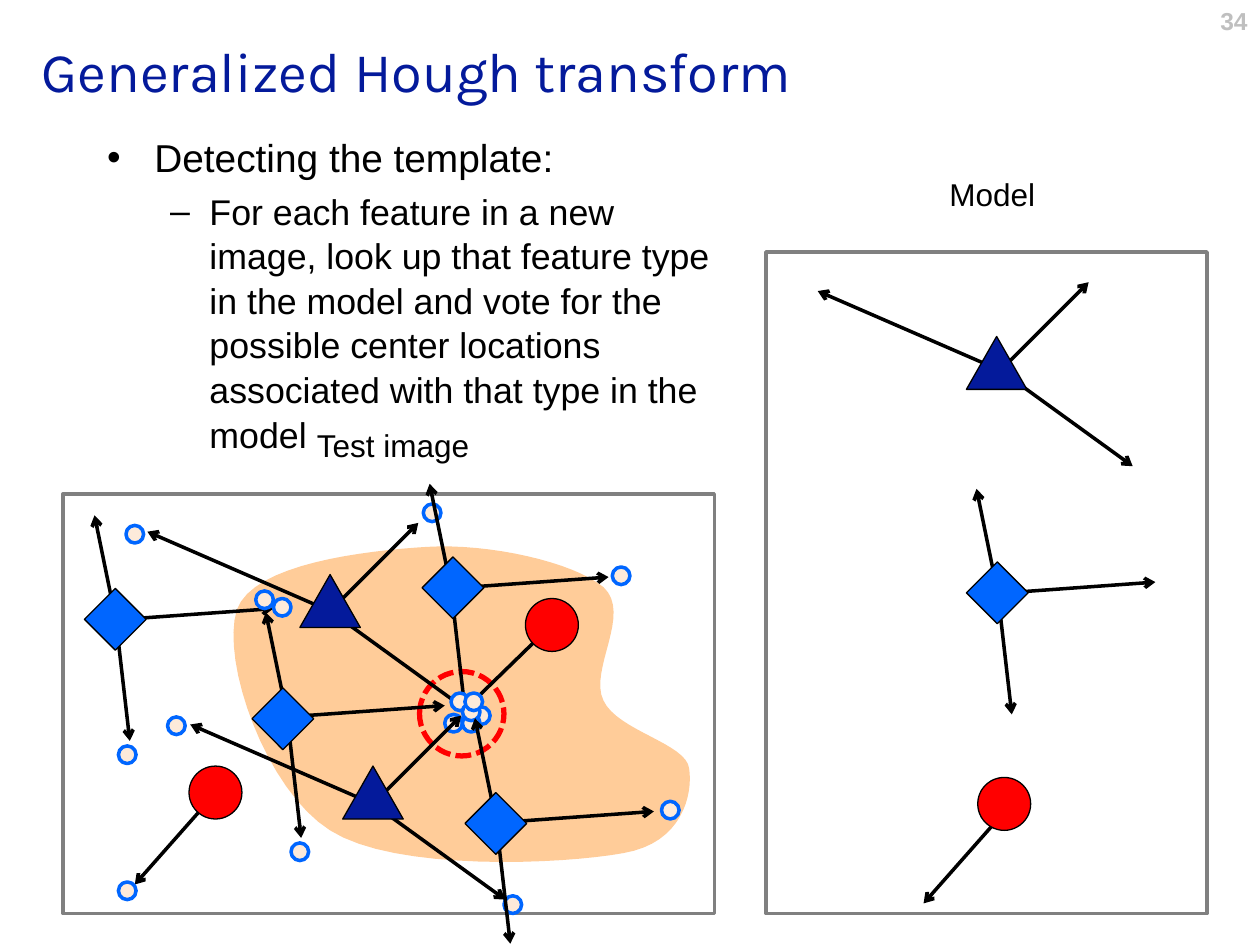
"""Build the Generalized Hough transform slide."""
import pptx
import pptx.util
import pptx.dml.color
import pptx.enum.dml
import pptx.enum.shapes
import pptx.enum.text
import lxml.etree

PX = 9144
Pt = pptx.util.Pt
RGBColor = pptx.dml.color.RGBColor
MSO = pptx.enum.shapes.MSO_SHAPE
ALIGN = pptx.enum.text.PP_ALIGN
ANCHOR = pptx.enum.text.MSO_ANCHOR
NAVY = RGBColor(0x04, 0x1A, 0x9B)
BLUE = RGBColor(0x00, 0x66, 0xFF)
RED = RGBColor(0xFF, 0x00, 0x00)
BLACK = RGBColor(0x00, 0x00, 0x00)
GRAY = RGBColor(0x80, 0x80, 0x80)
SILVER = RGBColor(0xBF, 0xBF, 0xBF)
PEACH = RGBColor(0xFF, 0xCC, 0x99)
CREAM = RGBColor(0xFD, 0xEA, 0xDA)


def add_figure(kind, x, y, w, h, fill, line, width):
    sp = s.shapes.add_shape(kind, x * PX, y * PX, w * PX, h * PX)
    sp.shadow.inherit = False
    if fill is None:
        sp.fill.background()
    else:
        sp.fill.solid()
        sp.fill.fore_color.rgb = fill
    sp.line.color.rgb = line
    sp.line.width = Pt(width)
    return sp


def add_arrows(x, y, arms):
    for dx, dy in arms:
        cx = s.shapes.add_connector(pptx.enum.shapes.MSO_CONNECTOR.STRAIGHT,
                                    x * PX, y * PX, (x + dx) * PX, (y + dy) * PX)
        cx.line.color.rgb = BLACK
        cx.line.width = Pt(2)
        ns = pptx.oxml.ns.qn
        lxml.etree.SubElement(cx.line._get_or_add_ln(), ns("a:tailEnd"), type="arrow")
        lxml.etree.SubElement(cx._element.spPr, ns("a:effectLst"))


prs = pptx.Presentation()
prs.slide_width = 1000 * PX
prs.slide_height = 750 * PX
s = prs.slides.add_slide(prs.slide_layouts[1])

title = s.shapes.title
title.left, title.top, title.width, title.height = 23 * PX, 18 * PX, 954 * PX, 76 * PX
tf = title.text_frame
tf.auto_size = pptx.enum.text.MSO_AUTO_SIZE.NONE
tf.vertical_anchor = ANCHOR.MIDDLE
p = tf.paragraphs[0]
p.alignment = ALIGN.LEFT
r = p.add_run()
r.text = "Generalized Hough transform"
r.font.name = "Karla"
r.font.size = Pt(32)
r.font.color.rgb = NAVY

body = s.placeholders[1]
body.left, body.top, body.width, body.height = 75 * PX, 100 * PX, 508 * PX, 246 * PX
tf = body.text_frame
tf.auto_size = pptx.enum.text.MSO_AUTO_SIZE.NONE
points = [
    ("Detecting the template:", 22.2),
    ("For each feature in a new image, look up that feature type in the model "
     "and vote for the possible center locations associated with that type in the model", 20.4),
]
for level, (text, size) in enumerate(points):
    p = tf.add_paragraph() if level else tf.paragraphs[0]
    p.level = level
    p.line_spacing = 1.04
    r = p.add_run()
    r.text = text
    r.font.name = "Arial"
    r.font.size = Pt(size)
    r.font.color.rgb = BLACK

labels = [
    ("34", 767, 0, 233, 40, 14, SILVER, True, ALIGN.RIGHT),
    ("Model", 700, 134, 175, 57, 18, BLACK, False, ALIGN.CENTER),
    ("Test image", 183, 333, 258, 57, 18, BLACK, False, ALIGN.CENTER),
]
for text, x, y, w, h, size, color, bold, align in labels:
    tf = s.shapes.add_textbox(x * PX, y * PX, w * PX, h * PX).text_frame
    tf.word_wrap = True
    p = tf.paragraphs[0]
    p.alignment = align
    r = p.add_run()
    r.text = text
    r.font.name = "Arial"
    r.font.size = Pt(size)
    r.font.bold = bold
    r.font.color.rgb = color

add_figure(MSO.RECTANGLE, 608, 200, 350, 525, None, GRAY, 2)
add_figure(MSO.RECTANGLE, 50, 392, 517, 333, None, GRAY, 2)

start = (188, 484)
curves = [
    ((201, 447), (291, 437), (339, 434)),
    ((388, 431), (455, 446), (479, 466)),
    ((502, 487), (467, 532), (479, 556)),
    ((490, 580), (545, 590), (547, 610)),
    ((550, 630), (542, 669), (495, 677)),
    ((447, 686), (313, 692), (262, 659)),
    ((211, 627), (175, 525), (188, 484)),
]
STEPS = 16
outline = []
a = start
for b, c, d in curves:
    for i in range(1, STEPS + 1):
        t = i / STEPS
        u = 1 - t
        outline.append([(u**3 * a[k] + 3 * u * u * t * b[k] + 3 * u * t * t * c[k] + t**3 * d[k]) * PX
                        for k in (0, 1)])
    a = d
fb = s.shapes.build_freeform(start[0] * PX, start[1] * PX)
fb.add_line_segments(outline, close=True)
blob = fb.convert_to_shape()
blob.shadow.inherit = False
blob.fill.solid()
blob.fill.fore_color.rgb = PEACH
blob.line.fill.background()

TRIANGLE_ARMS = [(105, 76), (70, -70), (-145, -63)]
DIAMOND_ARMS = [(-17, -83), (125, -9), (11, 96)]
CIRCLE_ARMS = [(-68, 77)]
ring = add_figure(MSO.OVAL, 333, 533, 67, 67, None, RED, 3)
ring.line.dash_style = pptx.enum.dml.MSO_LINE.SQUARE_DOT

casts = [
    (794, 294, TRIANGLE_ARMS, []),
    (792, 471, DIAMOND_ARMS, []),
    (801, 640, CIRCLE_ARMS, [(353, 567)]),
    (175, 625, CIRCLE_ARMS, [(94, 700)]),
    (92, 492, DIAMOND_ARMS, [(94, 592), (217, 475)]),
    (262, 485, TRIANGLE_ARMS, [(375, 561), (336, 400), (100, 417)]),
    (358, 467, DIAMOND_ARMS, [(486, 450), (367, 567)]),
    (442, 492, [(-75, 73)], []),
    (228, 569, DIAMOND_ARMS, [(231, 669), (203, 469), (358, 550)]),
    (296, 638, TRIANGLE_ARMS, [(133, 569), (400, 711), (367, 558)]),
    (394, 653, DIAMOND_ARMS, [(525, 636), (369, 550)]),
]
for x, y, arms, votes in casts:
    add_arrows(x, y, arms)
    for vx, vy in votes:
        add_figure(MSO.OVAL, vx, vy, 14, 14, CREAM, BLUE, 2)

features = [
    (MSO.ISOSCELES_TRIANGLE, 48, 42, NAVY, [(767, 267), (238, 456), (272, 608)]),
    (MSO.DIAMOND, 49, 49, BLUE, [(767, 446), (335, 442), (200, 546), (67, 467), (369, 629)]),
    (MSO.OVAL, 42, 42, RED, [(776, 617), (417, 475), (150, 608)]),
]
for kind, w, h, fill, spots in features:
    for x, y in spots:
        add_figure(kind, x, y, w, h, fill, BLACK, 0.75)

prs.save("out.pptx")
